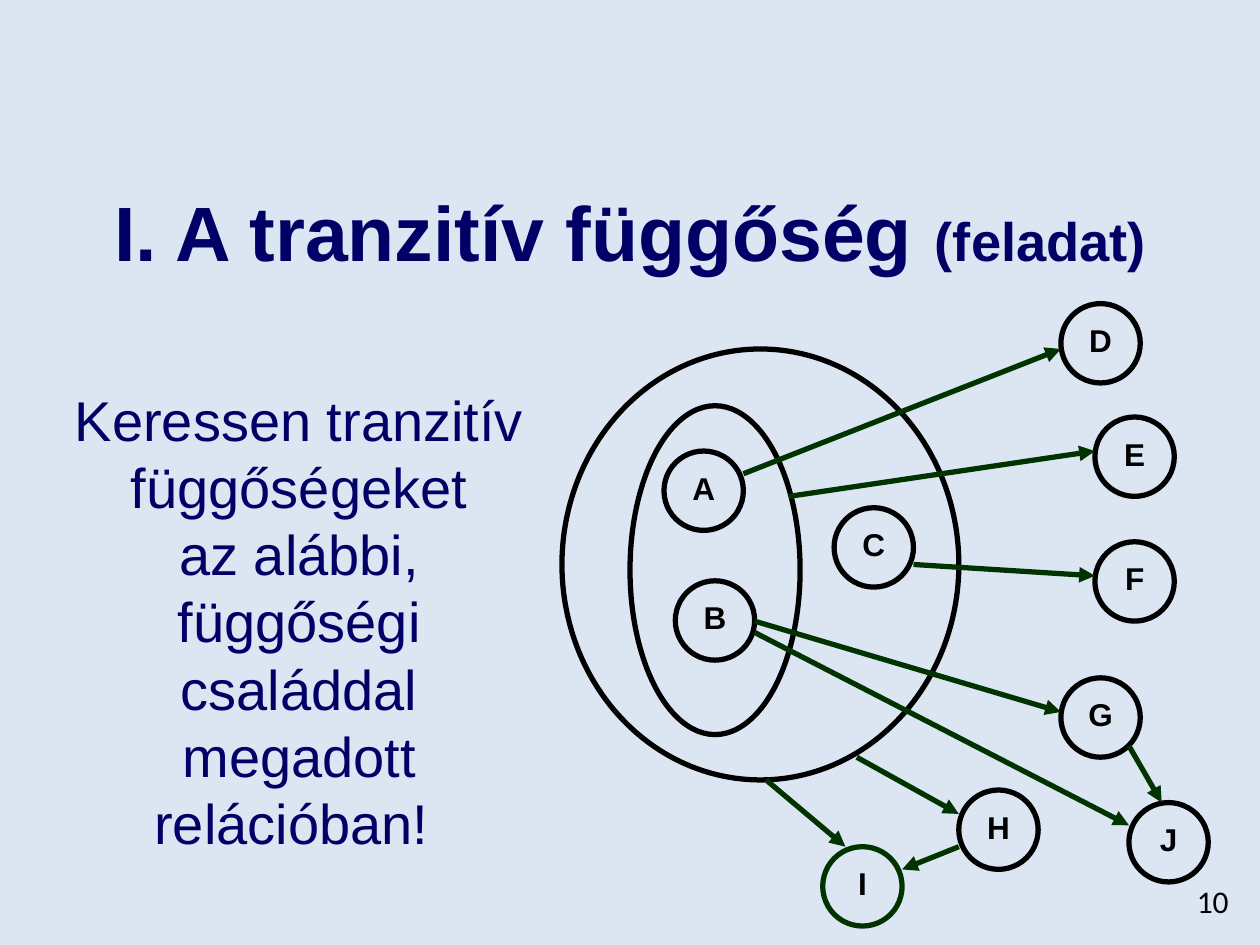
from lxml import etree
from pptx import Presentation
from pptx.dml.color import RGBColor
from pptx.enum.shapes import MSO_CONNECTOR, MSO_SHAPE
from pptx.enum.text import MSO_ANCHOR, PP_ALIGN
from pptx.oxml.ns import qn
from pptx.util import Inches, Pt

OVAL = MSO_SHAPE.OVAL
STRAIGHT = MSO_CONNECTOR.STRAIGHT
TOP, MIDDLE = MSO_ANCHOR.TOP, MSO_ANCHOR.MIDDLE
CENTER, RIGHT = PP_ALIGN.CENTER, PP_ALIGN.RIGHT

COLORS = {"back": "DCE6F2", "navy": "000066", "green": "003300", "black": "000000"}
NODE = 0.63  # diameter of an attribute circle

# Attribute circles: left, top
NODES = {
    "A": (5.27, 3.58), "B": (5.36, 4.61), "C": (6.62, 4.03),
    "D": (8.42, 2.41), "E": (8.69, 3.31), "F": (8.69, 4.3),
    "G": (8.42, 5.38), "H": (7.61, 6.27), "I": (6.53, 6.72),
    "J": (8.96, 6.37),
}

# Attribute sets: left, top, width, height
SETS = [(4.46, 2.77, 3.15, 3.42), (5, 3.22, 1.35, 2.61)]

# Dependencies: start x, y and end x, y
ARROWS = [
    (5.9, 3.76, 8.42, 2.77),   # A to D
    (6.26, 3.94, 8.69, 3.58),  # AB to E
    (7.25, 4.48, 8.69, 4.57),  # C to F
    (5.99, 4.93, 8.42, 5.65),  # B to G
    (5.99, 5.02, 8.96, 6.55),  # B to J
    (6.8, 6.01, 7.61, 6.46),   # ABC to H
    (6.08, 6.19, 6.71, 6.72),  # ABC to I
    (7.61, 6.72, 7.16, 6.9),   # H to I
    (8.96, 5.92, 9.22, 6.37),  # G to J
]


def color(name):
    return RGBColor.from_string(COLORS[name])


def add_text(slide, box, text, size, hue="navy", bold=False,
             font="Arial", align=CENTER, anchor=MIDDLE):
    frame = slide.shapes.add_textbox(*map(Inches, box)).text_frame
    frame.word_wrap = True
    frame.vertical_anchor = anchor
    para = frame.paragraphs[0]
    para.text = text
    para.alignment = align
    para.font.name = font
    para.font.size = Pt(size)
    para.font.bold = bold
    para.font.color.rgb = color(hue)
    return para


def add_oval(slide, box, hue="black"):
    oval = slide.shapes.add_shape(OVAL, *map(Inches, box))
    oval.shadow.inherit = False
    oval.fill.background()
    oval.line.color.rgb = color(hue)
    oval.line.width = Pt(3)


def add_node(slide, name, left, top):
    add_oval(slide, (left, top, NODE, NODE), "green" if name == "I" else "black")
    add_text(slide, (left + 0.09, top + 0.06, 0.45, 0.46), name, 18, "black", True)


def add_arrow(slide, ends):
    arrow = slide.shapes.add_connector(STRAIGHT, *map(Inches, ends))
    arrow.line.color.rgb = color("green")
    arrow.line.width = Pt(3)
    etree.SubElement(arrow.line._get_or_add_ln(), qn("a:tailEnd"), type="triangle")
    etree.SubElement(arrow._element.spPr, qn("a:effectLst"))


def main():
    deck = Presentation()
    deck.slide_width, deck.slide_height = Inches(10), Inches(7.5)
    slide = deck.slides.add_slide(deck.slide_layouts[6])
    slide.background.fill.solid()
    slide.background.fill.fore_color.rgb = color("back")

    # Title, task and page number
    title = add_text(slide, (0, 1.36, 10, 0.94), "I. A tranzitív függőség ", 44, bold=True)
    note = title.add_run()
    note.text = "(feladat)"
    note.font.size = Pt(31)
    add_text(slide, (0.28, 2.47, 4.19, 4.91),
             "Keressen tranzitív függőségeket\vaz alábbi,\vfüggőségi\v"
             "családdal\vmegadott relációban! ", 32)
    add_text(slide, (7.17, 6.95, 2.68, 0.4), "10", 18, "black",
             font="Calibri", align=RIGHT, anchor=TOP)

    # Dependency diagram
    for box in SETS:
        add_oval(slide, box)
    for name, spot in NODES.items():
        add_node(slide, name, *spot)
    for ends in ARROWS:
        add_arrow(slide, ends)

    deck.save("out.pptx")


if __name__ == "__main__":
    main()
